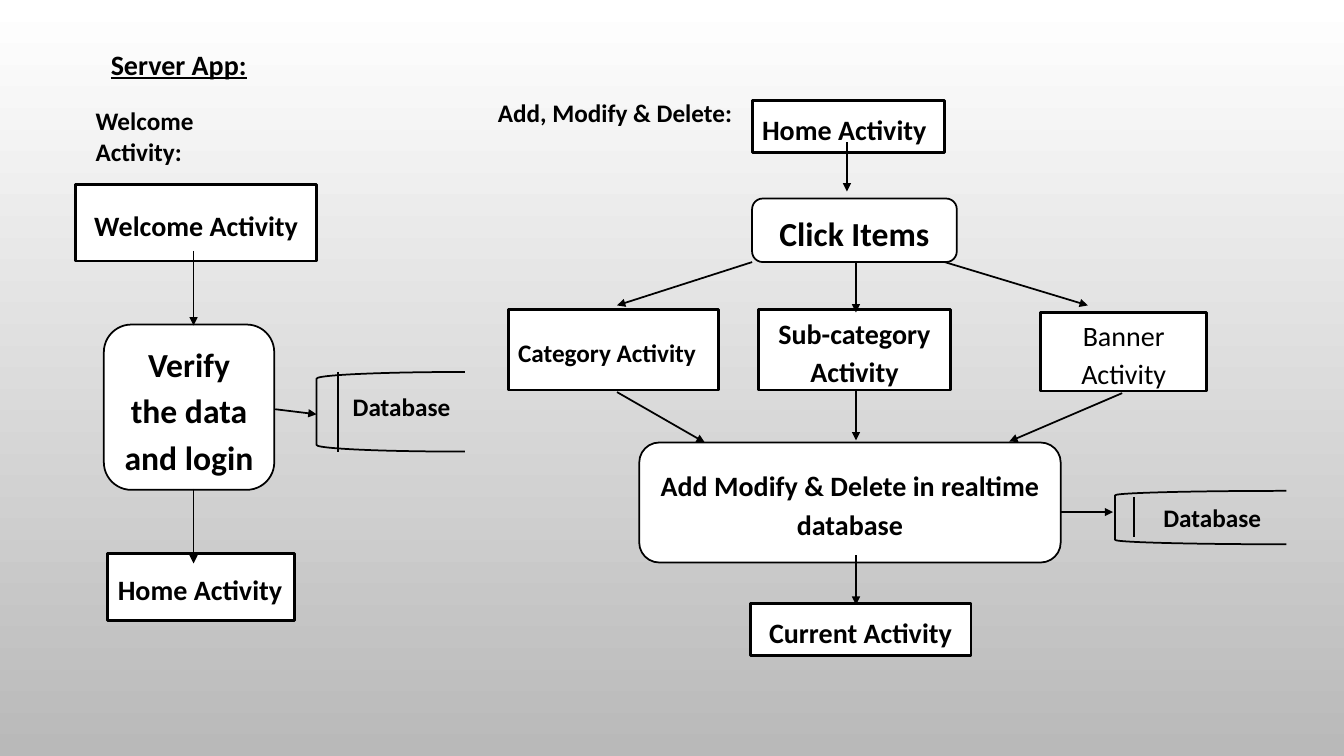
"""Draw the server app flow chart on one slide."""
import pptx
import pptx.util
import pptx.dml.color
import pptx.enum.shapes
import pptx.enum.text
import pptx.oxml
import pptx.oxml.ns

Inches = pptx.util.Inches
Pt = pptx.util.Pt
RGBColor = pptx.dml.color.RGBColor
Kind = pptx.enum.shapes.MSO_SHAPE
Align = pptx.enum.text.PP_ALIGN
Anchor = pptx.enum.text.MSO_ANCHOR

BLACK = RGBColor(0x00, 0x00, 0x00)
WHITE = RGBColor(0xFF, 0xFF, 0xFF)
GREY = RGBColor(0xB9, 0xB9, 0xB9)


class Chart:
    """Hold the style and the current slide."""

    font = {"name": "Calibri", "bold": True}
    para = {"line_spacing": 1.15, "space_after": Pt(10)}
    thin = 1.25
    thick = 2

    def __init__(self, slide):
        """Keep the slide and shade its background."""
        self.slide = slide
        fill = slide.background.fill
        fill.gradient()
        fill.gradient_angle = 270
        for stop, color in zip(fill.gradient_stops, (WHITE, GREY)):
            stop.color.rgb = color

    def put(self, item, values):
        """Set attributes from a dict."""
        for name, value in values.items():
            setattr(item, name, value)

    def pen(self, line, width):
        """Style an outline."""
        line.color.rgb = BLACK
        line.width = Pt(width)

    def words(self, frame, text, size, para, **font):
        """Fill a text frame with one paragraph."""
        first = frame.paragraphs[0]
        self.put(first, para)
        run = first.add_run()
        run.text = text
        self.put(run.font, {**self.font, "size": Pt(size), **font})
        run.font.color.rgb = BLACK

    def label(self, text, place, size=18, wrap=True, **font):
        """Add a plain text box."""
        box = self.slide.shapes.add_textbox(*map(Inches, place))
        box.text_frame.word_wrap = wrap
        self.words(box.text_frame, text, size, {}, **font)

    def outline(self, kind, place, width):
        """Add a preset shape with a black outline."""
        shape = self.slide.shapes.add_shape(kind, *map(Inches, place))
        shape.shadow.inherit = False
        self.pen(shape.line, width)
        return shape

    def box(self, text, place, size=20, align=Align.CENTER, round=False, **font):
        """Add a white step with text."""
        kind = Kind.ROUNDED_RECTANGLE if round else Kind.RECTANGLE
        shape = self.outline(kind, place, self.thin if round else self.thick)
        shape.fill.solid()
        shape.fill.fore_color.rgb = WHITE
        frame = shape.text_frame
        self.put(frame, {"word_wrap": True, "vertical_anchor": Anchor.MIDDLE})
        self.words(frame, text, size, {**self.para, "alignment": align}, **font)

    def line(self, start, end, arrow=True):
        """Add a straight line, with an arrowhead if asked."""
        points = map(Inches, (*start, *end))
        link = self.slide.shapes.add_connector(
            pptx.enum.shapes.MSO_CONNECTOR.STRAIGHT, *points)
        self.pen(link.line, self.thin)
        props = link._element.spPr
        space = pptx.oxml.ns.nsdecls("a")
        if arrow:
            props.find(pptx.oxml.ns.qn("a:ln")).append(
                pptx.oxml.parse_xml(f'<a:tailEnd {space} type="triangle"/>'))
        props.append(pptx.oxml.parse_xml(f"<a:effectLst {space}/>"))

    def store(self, place, bar, spot):
        """Add a database symbol with its bar and label."""
        self.outline(Kind.LEFT_BRACKET, place, self.thin).fill.background()
        x, top, end = bar
        self.line((x, top), (x, end), arrow=False)
        self.label("Database", (*spot, 1.44, 0.4))


def main():
    """Build and save the deck."""
    deck = pptx.Presentation()
    deck.slide_width = Inches(13.33)
    deck.slide_height = Inches(7.5)
    chart = Chart(deck.slides.add_slide(deck.slide_layouts[6]))

    chart.label("Server App:", (1, 0.42, 4.08, 0.44), 20, underline=True)
    chart.label("Welcome Activity:", (0.85, 1, 2.07, 0.4))
    chart.label("Add, Modify & Delete:", (4.84, 0.92, 2.53, 0.4), wrap=False)

    chart.box("Welcome Activity", (0.75, 1.83, 2.39, 0.76))
    chart.box("Verify the data and login", (1.03, 3.22, 1.69, 1.64), 24, round=True)
    chart.box("Home Activity", (1.07, 5.49, 1.85, 0.67), align=Align.LEFT)

    chart.box("Home Activity", (7.46, 1, 1.91, 0.51), align=Align.LEFT)
    chart.box("Click Items", (7.46, 1.97, 2.03, 0.63), 24, round=True)
    chart.box("Category Activity", (5.04, 3.07, 2.09, 0.8), 18, Align.LEFT)
    chart.box("Sub-category Activity", (7.52, 3.07, 1.91, 0.8))
    chart.box("Banner Activity", (10.32, 3.1, 1.65, 0.78), bold=False)
    chart.box("Add Modify & Delete in realtime database",
              (6.34, 4.39, 4.18, 1.19), round=True)
    chart.box("Current Activity", (7.44, 5.99, 2.19, 0.51))

    chart.store((3.14, 3.69, 1.47, 0.79), (3.35, 3.69, 4.48), (3.4, 3.83))
    chart.store((11.06, 4.87, 1.7, 0.53), (11.25, 4.93, 5.33), (11.44, 4.93))

    drops = [(1.92, 2.49, 3.23), (1.92, 4.85, 5.59), (8.4, 1.41, 1.9),
             (8.49, 2.6, 3.1), (8.49, 3.87, 4.37), (8.49, 5.51, 6)]
    for x, top, end in drops:
        chart.line((x, top), (x, end))

    links = [((7.46, 2.6), (6.12, 3.03)), ((9.37, 2.6), (10.79, 3.03)),
             ((6.12, 3.89), (6.99, 4.39)), ((11.13, 3.9), (10.01, 4.38)),
             ((2.73, 4.06), (3.14, 4.11)), ((10.52, 5.08), (11.04, 5.08))]
    for start, end in links:
        chart.line(start, end)

    deck.save("out.pptx")


if __name__ == "__main__":
    main()
